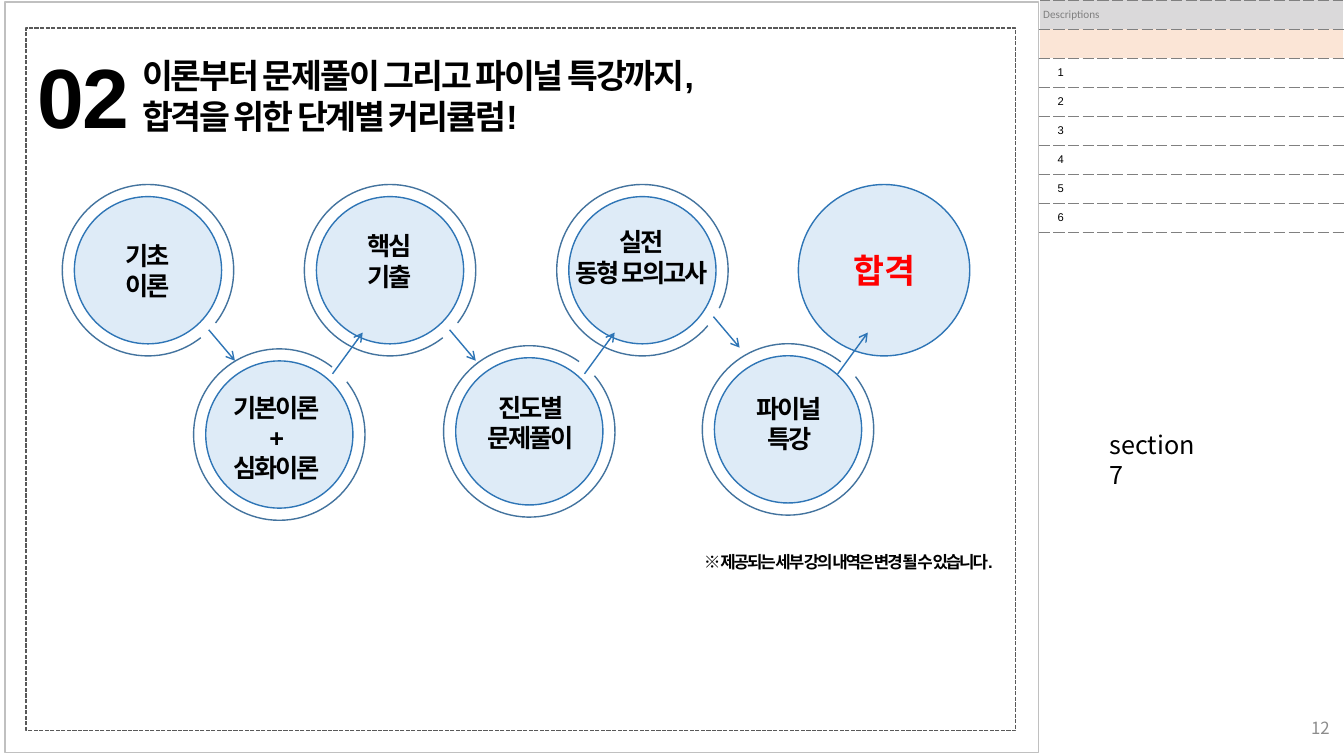
"""Build the course roadmap slide with its description panel."""
import dataclasses

import lxml.etree
import pptx
import pptx.dml.color
import pptx.enum.dml
import pptx.enum.shapes
import pptx.enum.text
import pptx.oxml.ns
import pptx.util

Cm = pptx.util.Cm
Pt = pptx.util.Pt
Shape = pptx.enum.shapes.MSO_SHAPE
Dash = pptx.enum.dml.MSO_LINE
Align = pptx.enum.text.PP_ALIGN
Anchor = pptx.enum.text.MSO_ANCHOR
qn = pptx.oxml.ns.qn


@dataclasses.dataclass(frozen=True)
class Theme:
    latin: str = "Arial"
    asian: str = "Noto Sans CJK KR"
    panel: str = "Calibri"
    ink: str = "000000"
    red: str = "FF0000"
    pale: str = "DEEBF7"
    blue: str = "2E75B6"
    ring: str = "43739E"
    edge: str = "C0C0C0"
    dash: str = "595959"
    rule: str = "808080"
    head: str = "DAD9DA"
    peach: str = "FBE5D6"
    folio: str = "8C8C8C"
    huge: int = 60
    large: int = 24
    base: int = 18
    small: int = 12
    tiny: int = 8


def color(code):
    return pptx.dml.color.RGBColor.from_string(code)


def assign(item, values):
    for key, value in values.items():
        setattr(item, key, value)


def child(parent, tag, **values):
    return lxml.etree.SubElement(parent, qn(tag), values)


class Canvas:
    def __init__(self, slide, theme):
        self.slide = slide
        self.theme = theme

    def shape(self, kind, box, line, fill=None, dash=None, turn=0):
        item = self.slide.shapes.add_shape(kind, *map(Cm, box))
        item.shadow.inherit = False
        if fill:
            item.fill.solid()
            item.fill.fore_color.rgb = color(fill)
        else:
            item.fill.background()
        item.line.color.rgb = color(line)
        assign(item.line, {"width": Pt(1), "dash_style": dash})
        item.rotation = turn
        return item

    def disc(self, x, y, size, line, fill=None, turn=0, kind=Shape.OVAL):
        box = (x - size / 2, y - size / 2, size, size)
        return self.shape(kind, box, line, fill, turn=turn)

    def stage(self, x, y, turn):
        look = self.theme
        self.disc(x, y, 3.71, look.blue, look.pale)
        ring = self.disc(x, y, 4.32, look.ring, turn=turn, kind=Shape.ARC)
        for spot, angle in enumerate((7, 353)):
            ring.adjustments[spot] = angle * 0.6

    def arrow(self, x, y, wide, high):
        kind = pptx.enum.shapes.MSO_CONNECTOR.STRAIGHT
        ends = map(Cm, (x, y, x + wide, y + high))
        item = self.slide.shapes.add_connector(kind, *ends)
        item.line.color.rgb = color(self.theme.blue)
        item.line.width = Pt(1)
        child(item.line._get_or_add_ln(), "a:tailEnd", type="arrow")
        child(item._element.spPr, "a:effectLst")

    def letter(self, frame, text, size, align=Align.CENTER, ink=None,
               font=None, bold=True, track=-150):
        for spot, line in enumerate(text.split("\n")):
            para = frame.paragraphs[0] if spot == 0 else frame.add_paragraph()
            assign(para, {"alignment": align, "line_spacing": Pt(size * 1.2)})
            para.text = line
            for run in para.runs:
                assign(run.font, {"size": Pt(size), "bold": bold,
                                  "name": font or self.theme.latin})
                run.font.color.rgb = color(ink or self.theme.ink)
                props = run._r.get_or_add_rPr()
                props.set("spc", str(track))
                child(props, "a:ea", typeface=self.theme.asian)

    def text(self, box, text, size, align=Align.CENTER, **style):
        frame = self.slide.shapes.add_textbox(*map(Cm, box)).text_frame
        frame.word_wrap = align != Align.CENTER
        self.letter(frame, text, size, align, **style)

    def border(self, cell, sides):
        props = cell._tc.get_or_add_tcPr()
        for spot, side in enumerate(sides):
            line = child(props, "a:ln" + side, w=str(Pt(0.25)))
            child(child(line, "a:solidFill"), "a:srgbClr", val=self.theme.rule)
            child(line, "a:prstDash", val="sysDash")
            props.insert(spot, line)

    def cell(self, cell, text, sides="TB", fill=None, inset=0.03, **style):
        assign(cell, {"margin_left": Cm(inset), "margin_right": 0,
                      "margin_top": 0, "margin_bottom": 0,
                      "vertical_anchor": Anchor.MIDDLE})
        if fill:
            cell.fill.solid()
            cell.fill.fore_color.rgb = color(fill)
        else:
            cell.fill.background()
        size = self.theme.tiny
        self.letter(cell.text_frame, text, size, bold=False, track=0, **style)
        if not text:
            last = cell.text_frame.paragraphs[0]._p
            child(last, "a:endParaRPr", sz=str(size * 100))
        self.border(cell, sides)

    def panel(self, count):
        look = self.theme
        rows = count + 2
        box = map(Cm, (26.19, 0, 7.68, rows * 0.73))
        grid = self.slide.shapes.add_table(rows, 2, *box).table
        assign(grid, {"first_row": False, "horz_banding": False})
        for column, width in zip(grid.columns, (1.05, 6.63)):
            column.width = Cm(width)
        for row in grid.rows:
            row.height = Cm(0.73)
        for row in range(2):
            grid.cell(row, 0).merge(grid.cell(row, 1))
        self.cell(grid.cell(0, 0), "Descriptions", fill=look.head, inset=0.1,
                  align=Align.LEFT, font=look.panel, ink=look.rule)
        self.cell(grid.cell(1, 0), "", fill=look.peach)
        for number in range(1, count + 1):
            self.cell(grid.cell(number + 1, 0), str(number))
            self.cell(grid.cell(number + 1, 1), "", "LTB")


def main():
    deck = pptx.Presentation()
    assign(deck, {"slide_width": Cm(33.87), "slide_height": Cm(19.05)})
    look = Theme()
    page = Canvas(deck.slides.add_slide(deck.slide_layouts[6]), look)

    page.shape(Shape.RECTANGLE, (0.13, 0.05, 26.04, 18.92), look.edge)
    page.panel(6)
    page.shape(Shape.RECTANGLE, (0.66, 0.71, 24.94, 17.7), look.dash,
               dash=Dash.SQUARE_DOT)

    for x, y, turn in ((3.73, 6.81, 45), (9.83, 6.81, 45), (16.19, 6.81, 33.3),
                       (7.04, 10.95, 315), (13.34, 10.87, 312.5),
                       (19.86, 10.82, 315)):
        page.stage(x, y, turn)
    goal = page.disc(22.28, 6.81, 4.32, look.blue, look.pale)
    goal.text_frame.vertical_anchor = Anchor.MIDDLE
    page.letter(goal.text_frame, "합격", look.large, ink=look.red, track=0)

    for x, y in ((5.26, 8.31), (11.33, 8.31), (17.98, 7.98)):
        page.arrow(x, y, 0.66, 0.78)
    for x in (8.38, 14.73, 21.11):
        page.arrow(x, 9.42, 0.76, -1.04)

    for x, y, wide, label in ((2.87, 5.92, 1.68, "기초\n이론"),
                              (8.99, 5.69, 1.68, "핵심\n기출"),
                              (14.07, 5.59, 4.22, "실전\n동형 모의고사"),
                              (5.54, 9.75, 2.87, "기본이론\n+\n심화이론"),
                              (11.94, 9.75, 2.87, "진도별\n문제풀이"),
                              (18.75, 9.78, 2.29, "파이널\n특강")):
        high = 0.25 + 0.77 * len(label.split("\n"))
        page.text((x, y, wide, high), label, look.base)

    page.text((0.66, 0.99, 2.87, 2.82), "02", look.huge)
    page.text((3.33, 1.27, 16.36, 2.31),
              "이론부터 문제풀이 그리고 파이널 특강까지,\n합격을 위한 단계별 커리큘럼!",
              look.large, Align.LEFT)
    page.text((16.43, 13.77, 8.84, 0.76),
              "※ 제공되는 세부 강의 내역은 변경 될 수 있습니다.",
              look.small, Align.RIGHT)
    plain = {"font": look.asian, "bold": False, "track": 0}
    page.text((27.71, 10.69, 2.92, 1.02), "section\v7", look.base,
              Align.LEFT, **plain)
    page.text((26.14, 17.96, 7.62, 1.02), "12", look.small, Align.RIGHT,
              ink=look.folio, **plain)
    deck.save("out.pptx")


if __name__ == "__main__":
    main()
